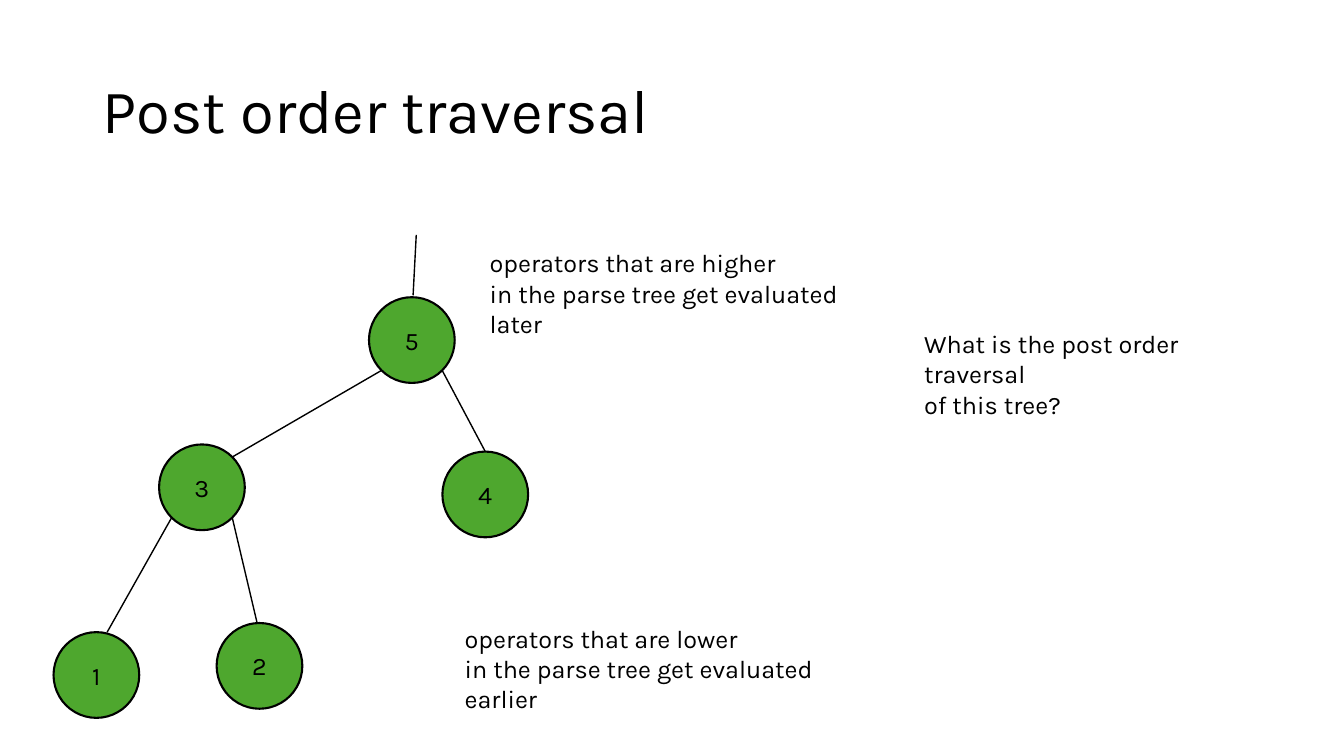
from math import sqrt

from lxml.etree import SubElement
from pptx import Presentation
from pptx.dml.color import RGBColor
from pptx.enum.shapes import MSO_CONNECTOR as CONN, MSO_SHAPE as SHAPE
from pptx.enum.text import MSO_ANCHOR as ANCHOR, MSO_AUTO_SIZE as AUTO, PP_ALIGN as ALIGN
from pptx.oxml.ns import qn
from pptx.util import Cm, Pt

COLORS = {"ink": "000000", "node": "4EA72E"}
DIAMETER = 2.16
RADIUS = DIAMETER / 2
DIAGONAL = RADIUS / sqrt(2)


def color(name):
    return RGBColor.from_string(COLORS[name])


class TreeSlide:
    font = "Karla"

    def __init__(self, prs):
        self.s = prs.slides.add_slide(prs.slide_layouts[6])

    def set_text(self, tf, text, size, align=ALIGN.LEFT, spacing=1.0):
        tf.text = text
        for p in tf.paragraphs:
            p.alignment = align
            p.line_spacing = spacing
            for r in p.runs:
                r.font.name = self.font
                r.font.size = Pt(size)
                r.font.color.rgb = color("ink")

    def textbox(self, x, y, w, h, text, size=18, anchor=ANCHOR.TOP,
                auto=AUTO.SHAPE_TO_FIT_TEXT, spacing=1.0):
        tf = self.s.shapes.add_textbox(Cm(x), Cm(y), Cm(w), Cm(h)).text_frame
        tf.word_wrap = True
        tf.auto_size = auto
        tf.vertical_anchor = anchor
        self.set_text(tf, text, size, spacing=spacing)

    def node(self, label, x, y):
        sp = self.s.shapes.add_shape(SHAPE.OVAL, Cm(x - RADIUS), Cm(y - RADIUS),
                                     Cm(DIAMETER), Cm(DIAMETER))
        sp.shadow.inherit = False
        sp.fill.solid()
        sp.fill.fore_color.rgb = color("node")
        sp.line.color.rgb = color("ink")
        sp.line.width = Pt(1.5)
        sp.text_frame.vertical_anchor = ANCHOR.MIDDLE
        self.set_text(sp.text_frame, label, 18, ALIGN.CENTER)

    def line(self, x1, y1, x2, y2):
        c = self.s.shapes.add_connector(CONN.STRAIGHT, Cm(x1), Cm(y1), Cm(x2), Cm(y2))
        c.line.color.rgb = color("ink")
        c.line.width = Pt(1)
        SubElement(c._element.spPr, qn("a:effectLst"))


# Node centres in cm
NODES = {"5": (10.38, 8.57), "3": (5.09, 12.28), "1": (2.43, 17.01),
         "4": (12.23, 12.46), "2": (6.54, 16.78)}

# Parent, side it leaves from (-1 left, 1 right), child, offset from the child's centre
EDGES = [("5", -1, "3", DIAGONAL, -DIAGONAL), ("5", 1, "4", 0, -RADIUS),
         ("3", -1, "1", 0.27, -RADIUS), ("3", 1, "2", -0.06, -RADIUS)]

NOTES = [(23.04, 8.15, 8.74, "What is the post order traversal\nof this tree?"),
         (11.46, 15.57, 10.31,
          "operators that are lower\nin the parse tree get evaluated earlier"),
         (12.09, 6.12, 9.83,
          "operators that are higher\nin the parse tree get evaluated later")]


def main():
    prs = Presentation()
    prs.slide_width, prs.slide_height = Cm(33.87), Cm(19.05)
    slide = TreeSlide(prs)

    # Title
    slide.textbox(2.34, 1.02, 29.21, 3.68, "Post order traversal", 44,
                  ANCHOR.MIDDLE, AUTO.NONE, 0.9)

    # Tree
    for label, (x, y) in NODES.items():
        slide.node(label, x, y)
    for parent, side, child, dx, dy in EDGES:
        px, py = NODES[parent]
        cx, cy = NODES[child]
        slide.line(px + side * DIAGONAL, py + DIAGONAL, cx + dx, cy + dy)
    slide.line(10.49, 5.92, 10.41, 7.44)

    # Notes
    for x, y, w, text in NOTES:
        slide.textbox(x, y, w, 1.8, text)

    prs.save("out.pptx")


if __name__ == "__main__":
    main()
